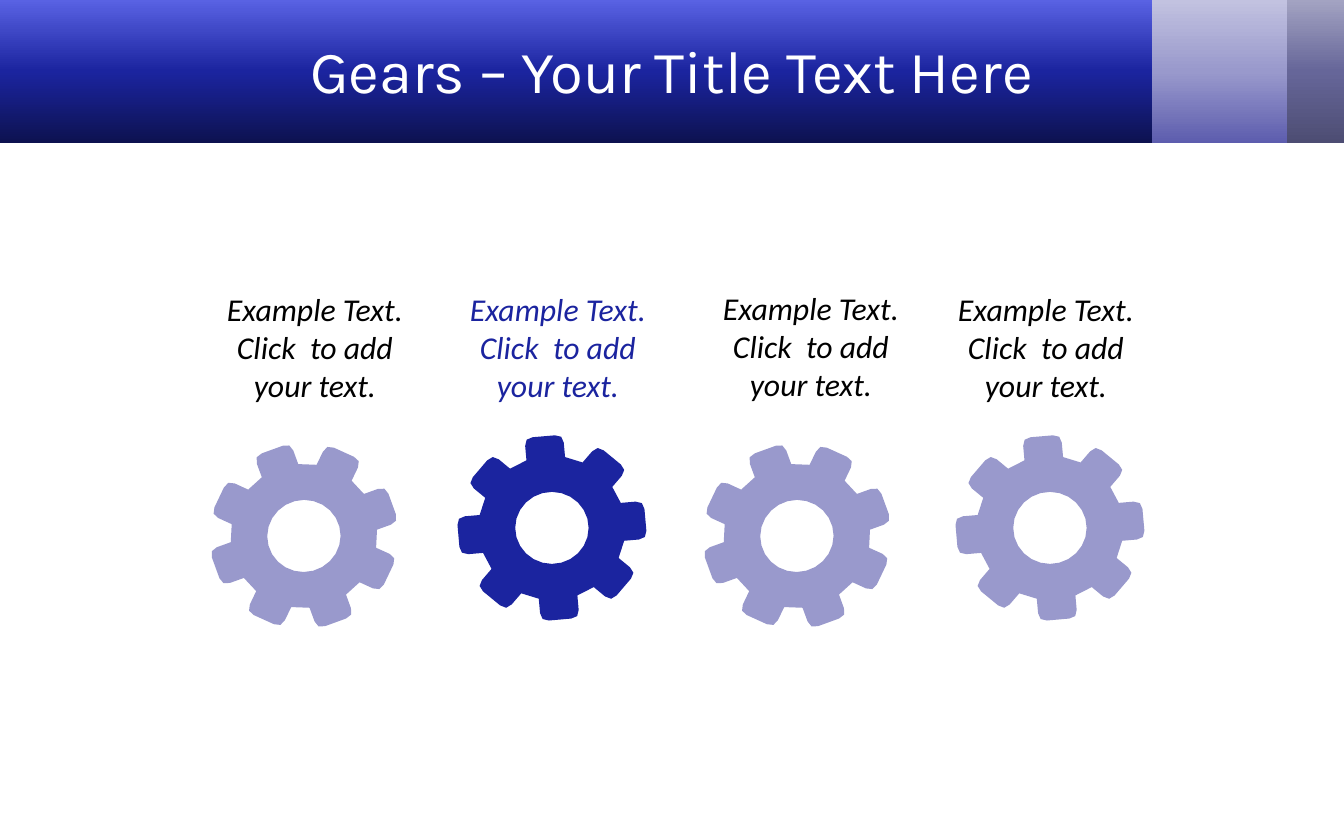
from copy import deepcopy
from math import asin, cos, pi, sin

from pptx import Presentation
from pptx import util as u
from pptx.dml.color import RGBColor
from pptx.enum import shapes, text

PX = u.Inches(10) / 1344  # EMU per px

THEME = {
    "navy": "1B249F",
    "lavender": "9999CC",
    "white": "FFFFFF",
    "black": "000000",
    "band_grey": ("4D4D73", "666699", "A3A3C2"),
    "band_lavender": ("5D5DAE", "9999CC", "C2C2E0"),
    "band_navy": ("0D1250", "1B249F", "5962E3"),
    "title_font": "Karla",
    "title_size": 32,
    "body_font": "Calibri",
    "body_size": 17,
}


def add_text(box_px, lines, font, size, color, italic=False):
    box = slide.shapes.add_textbox(*(round(v * PX) for v in box_px))
    frame = box.text_frame
    frame.word_wrap = True
    frame.vertical_anchor = text.MSO_ANCHOR.MIDDLE
    for i, line in enumerate(lines):
        para = frame.paragraphs[0] if i == 0 else frame.add_paragraph()
        para.alignment = text.PP_ALIGN.CENTER
        run = para.add_run()
        run.text = line
        run.font.name = font
        run.font.size = u.Pt(size)
        run.font.italic = italic
        run.font.color.rgb = RGBColor.from_string(color)


def gear_outlines(teeth=8, body=72, tip=92, half=19, corner=8, hole=36, lean=-5):
    """Return the rim and the hole as point lists around (0, 0), in px."""
    root = asin(half / body)
    pitch = 2 * pi / teeth
    # One tooth pointing up, with two rounded corners and its feet on the body
    right = [(half - corner * t * t, -tip + corner * (1 - t) ** 2) for t in (0, 0.5, 1)]
    right.insert(0, (body * sin(root), -body * cos(root)))
    left = [(-x, y) for x, y in right]
    rim = []
    for tooth in range(teeth):
        a = tooth * pitch + lean * pi / 180
        rim += [(x * cos(a) - y * sin(a), x * sin(a) + y * cos(a))
                for x, y in left + right[::-1]]
    ring = [(hole * cos(i * pi / 12), hole * sin(i * pi / 12)) for i in range(24)]
    return rim, ring


prs = Presentation()
prs.slide_width, prs.slide_height = round(1344 * PX), round(840 * PX)
slide = prs.slides.add_slide(prs.slide_layouts[6])

# Header bands, each fading from dark at the bottom to light at the top
for left, width, band in ((1267, 77, "band_grey"), (1146, 141, "band_lavender"),
                          (0, 1152, "band_navy")):
    header = slide.shapes.add_shape(shapes.MSO_SHAPE.RECTANGLE, round(left * PX), 0,
                                    round(width * PX), round(143 * PX))
    header.shadow.inherit = False
    header.line.fill.background()
    header.fill.gradient()
    header.fill.gradient_angle = 90
    first_stop = header._element.spPr.xpath(".//a:gs")[0]
    first_stop.addnext(deepcopy(first_stop))
    for stop, position, shade in zip(header.fill.gradient_stops, (0, 0.5, 1), THEME[band]):
        stop.position = position
        stop.color.rgb = RGBColor.from_string(shade)

# Title
add_text((67, 11, 1210, 118), ["Gears – Your Title Text Here"],
         THEME["title_font"], THEME["title_size"], THEME["white"])

# Gears with their captions: centre, turn, gear colour, caption corner, caption colour
columns = (
    (304, 536, -15, "lavender", 207, 282, "black"),
    (552, 528, 0, "navy", 450, 282, "navy"),
    (797, 536, -15, "lavender", 703, 281, "black"),
    (1050, 528, 0, "lavender", 938, 282, "black"),
)
STRETCH = 1.02  # gears are slightly wider than tall
for center_x, center_y, turn, gear_color, caption_x, caption_y, caption_color in columns:
    rim, ring = [[((center_x + x * STRETCH) * PX, (center_y + y) * PX) for x, y in outline]
                 for outline in gear_outlines()]
    builder = slide.shapes.build_freeform(*rim[0])
    builder.add_line_segments(rim[1:], close=True)
    builder.move_to(*ring[0])
    builder.add_line_segments(ring[1:], close=True)
    gear = builder.convert_to_shape()
    gear.shadow.inherit = False
    gear.rotation = turn
    gear.fill.solid()
    gear.fill.fore_color.rgb = RGBColor.from_string(THEME[gear_color])
    gear.line.fill.background()
    add_text((caption_x, caption_y, 216, 129), ["Example Text.", "Click  to add your text."],
             THEME["body_font"], THEME["body_size"], THEME[caption_color], italic=True)

prs.save("out.pptx")
